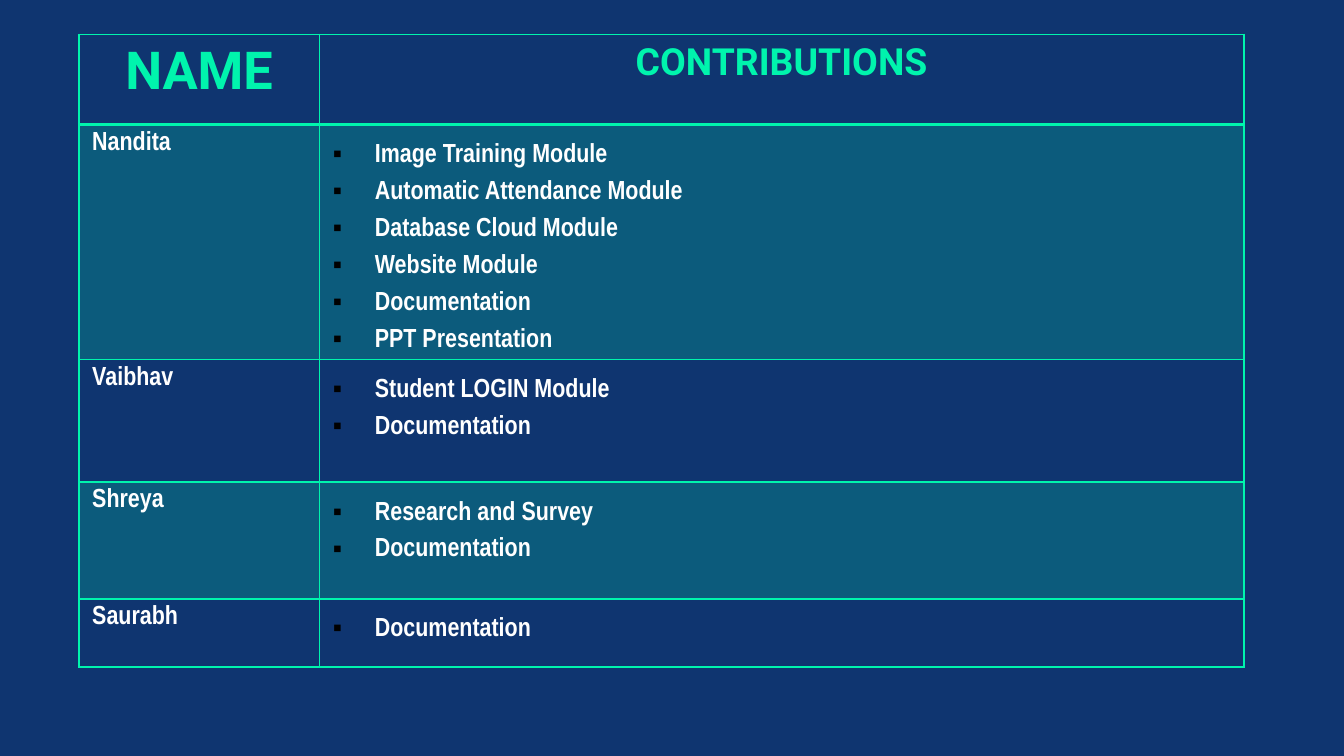
from lxml.etree import SubElement
from pptx import Presentation
from pptx.dml.color import RGBColor
from pptx.enum.text import PP_ALIGN as Align
from pptx.oxml.ns import qn
from pptx.util import Pt

NAVY, MINT, WHITE, BLACK = "0F3570", "00F4AD", "FFFFFF", "000000"
COL_WIDTHS = [128.9, 495.3]
ROW_HEIGHTS = [48.2, 126, 65.5, 62.6, 36.7]
HEADINGS = [("NAME", 28), ("CONTRIBUTIONS", 20)]
CONTRIBUTIONS = {
    "Nandita": ["Image Training Module", "Automatic Attendance Module",
                "Database Cloud Module", "Website Module",
                "Documentation", "PPT Presentation"],
    "Vaibhav": ["Student LOGIN Module", "Documentation"],
    "Shreya": ["Research and Survey", "Documentation"],
    "Saurabh": ["Documentation"],
}


def rgb(color):
    return RGBColor.from_string(color)


def add_run(p, text, size, font, color):
    r = p.add_run()
    r.text = text
    r.font.size = Pt(size)
    r.font.name = font
    r.font.bold = True
    r.font.color.rgb = rgb(color)


def add_bullet(p):
    p.level = 4
    pPr = p._p.get_or_add_pPr()
    pPr.set("marL", str(Pt(22.5)))
    pPr.set("indent", str(-Pt(22.5)))
    SubElement(SubElement(pPr, qn("a:buClr")), qn("a:srgbClr"), val=BLACK)
    SubElement(pPr, qn("a:buFont"), typeface="Arial Narrow")
    SubElement(pPr, qn("a:buChar"), char="▪")
    p.alignment = Align.JUSTIFY
    p.line_spacing = 1.5


def set_borders(cell, top=1, bottom=1):
    tcPr = cell._tc.get_or_add_tcPr()
    for side, width in (("L", 1), ("R", 1), ("T", top), ("B", bottom)):
        ln = SubElement(tcPr, qn(f"a:ln{side}"), w=str(Pt(width)))
        fill = SubElement(ln, qn("a:solidFill"))
        SubElement(fill, qn("a:srgbClr"), val=MINT)


def set_fill(cell, tinted):
    if not tinted:
        cell.fill.background()
        return
    cell.fill.solid()
    cell.fill.fore_color.rgb = rgb(MINT)
    color = cell._tc.tcPr.find(qn("a:solidFill")).find(qn("a:srgbClr"))
    SubElement(color, qn("a:alpha"), val="20000")


def add_grid(slide):
    frame = slide.shapes.add_table(
        len(ROW_HEIGHTS), len(COL_WIDTHS), Pt(42.2), Pt(18.4),
        Pt(sum(COL_WIDTHS)), Pt(sum(ROW_HEIGHTS)))
    table = frame.table
    table.first_row = table.horz_banding = False
    for col, width in zip(table.columns, COL_WIDTHS):
        col.width = Pt(width)
    for i, (row, height) in enumerate(zip(table.rows, ROW_HEIGHTS)):
        row.height = Pt(height)
        for cell in row.cells:
            # Heavier rule between the header and the first person
            set_borders(cell, top=2 if i == 1 else 1, bottom=2 if i == 0 else 1)
            set_fill(cell, tinted=i % 2 == 1)
    return table


def fill_header(table):
    for cell, (text, size) in zip(table.rows[0].cells, HEADINGS):
        p = cell.text_frame.paragraphs[0]
        p.alignment = Align.CENTER
        add_run(p, text, size, "Roboto", MINT)


def fill_person(table, row, name, modules):
    p = table.cell(row, 0).text_frame.paragraphs[0]
    add_run(p, name, 14, "Arial Narrow", WHITE)
    tf = table.cell(row, 1).text_frame
    for i, module in enumerate(modules):
        p = tf.add_paragraph() if i else tf.paragraphs[0]
        add_bullet(p)
        add_run(p, module, 14, "Arial Narrow", WHITE)


def main():
    prs = Presentation()
    prs.slide_width, prs.slide_height = Pt(720), Pt(405)
    slide = prs.slides.add_slide(prs.slide_layouts[6])

    # Background
    slide.background.fill.solid()
    slide.background.fill.fore_color.rgb = rgb(NAVY)

    # Table of people and their contributions
    table = add_grid(slide)
    fill_header(table)
    for row, (name, modules) in enumerate(CONTRIBUTIONS.items(), start=1):
        fill_person(table, row, name, modules)

    prs.save("out.pptx")


if __name__ == "__main__":
    main()
